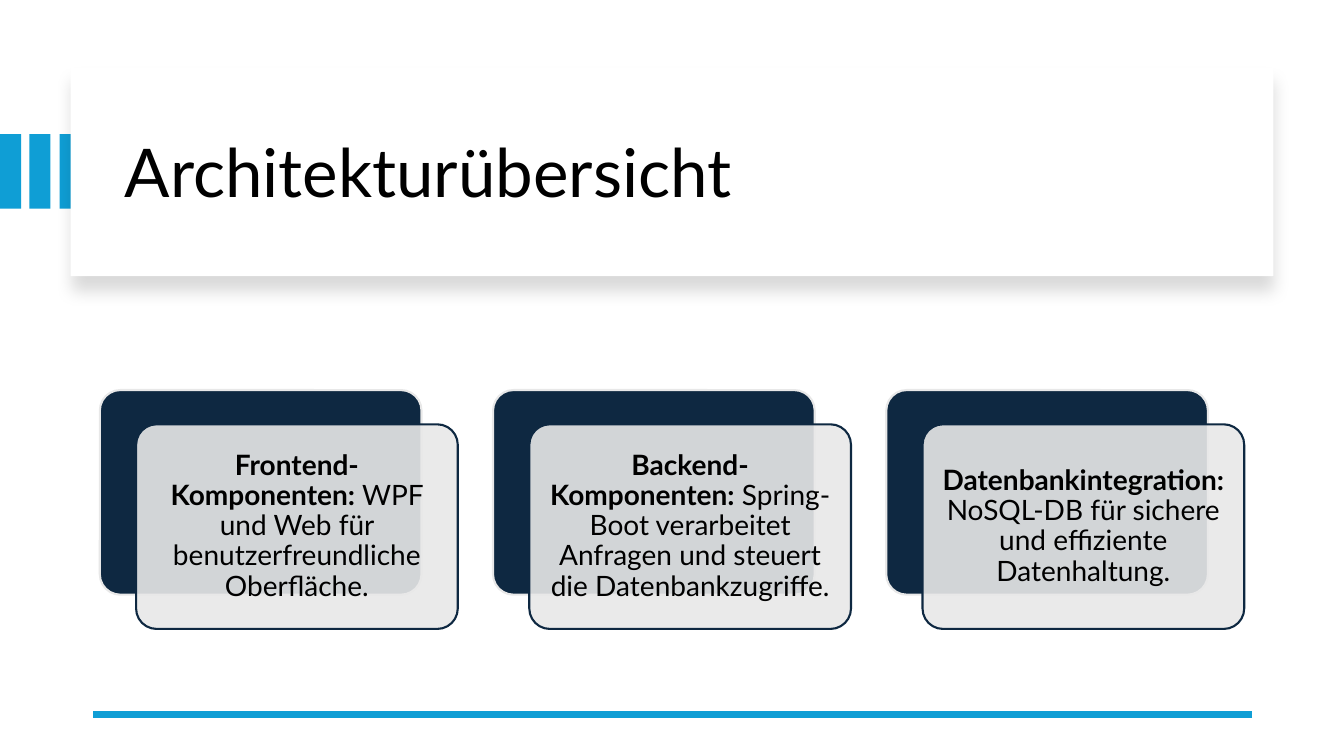
from lxml.etree import SubElement
from pptx import Presentation
from pptx.dml.color import RGBColor
from pptx.enum.shapes import MSO_CONNECTOR as Link, MSO_SHAPE as Form
from pptx.enum.text import MSO_ANCHOR as Anchor, PP_ALIGN as Align
from pptx.oxml.ns import qn
from pptx.util import Pt

PX = 9144  # 100 px to the inch
BLUE, NAVY, GREY, WHITE, BLACK = "0F9ED5", "0E2841", "E8E8E8", "FFFFFF", "000000"
CARDS = [
    ("Frontend-Komponenten:", " WPF und Web für benutzerfreundliche Oberfläche."),
    ("Backend-Komponenten:", " Spring-Boot verarbeitet Anfragen und steuert "
                             "die Datenbankzugriffe."),
    ("Datenbankintegration:", " NoSQL-DB für sichere und effiziente Datenhaltung."),
]


def paint(color, value):
    color.rgb = RGBColor.from_string(value)


def emu(*sizes):
    return [size * PX for size in sizes]


def add_box(slide, form, box, fill, edge=None):
    shape = slide.shapes.add_shape(form, *emu(*box))
    shape.shadow.inherit = False
    shape.fill.solid()
    paint(shape.fill.fore_color, fill)
    if edge:
        paint(shape.line.color, edge)
        shape.line.width = Pt(1.5)
    else:
        shape.line.fill.background()
    if form == Form.ROUNDED_RECTANGLE:
        shape.adjustments[0] = 0.1
    return shape


def add_alpha(parent, percent):
    color = next(parent.iter(qn("a:srgbClr")))
    SubElement(color, qn("a:alpha"), val=str(percent * 1000))


def drop_shadow(shape):
    effects = shape._element.spPr.find(qn("a:effectLst"))
    shade = SubElement(effects, qn("a:outerShdw"), blurRad=str(Pt(11)),
                       dist=str(Pt(10)), dir="5400000", rotWithShape="0")
    SubElement(shade, qn("a:srgbClr"), val=BLACK)
    add_alpha(shade, 15)


def write(frame, runs, size, align, inset):
    """Fill the frame with one paragraph of (text, bold) runs."""
    look = {"word_wrap": True, "vertical_anchor": Anchor.MIDDLE}
    for side, gap in zip(("left", "top", "right", "bottom"), inset):
        look[f"margin_{side}"] = gap * PX
    for name, value in look.items():
        setattr(frame, name, value)
    para = frame.paragraphs[0]
    para.alignment, para.line_spacing = align, 0.9
    for text, bold in runs:
        run = para.add_run()
        run.text = text
        for name, value in {"name": "Lato", "size": Pt(size), "bold": bold}.items():
            setattr(run.font, name, value)
        paint(run.font.color, BLACK)


def add_header(slide, left, top, width, height):
    for i in range(3):
        add_box(slide, Form.RECTANGLE, (i * 59 // 2, top + 66, 21, 74), BLUE)
    drop_shadow(add_box(slide, Form.RECTANGLE, (left, top, width, height), WHITE))
    title = slide.shapes.add_textbox(*emu(left + 44, top + 22, width - 80, height - 37))
    write(title.text_frame, [("Architekturübersicht", False)], 48,
          Align.LEFT, (10, 5, 10, 5))


def add_card(slide, left, top, width, height, head, body):
    form = Form.ROUNDED_RECTANGLE
    add_box(slide, form, (left, top, width, height), NAVY, GREY)
    front = add_box(slide, form, (left + 36, top + 34, width, height), GREY, NAVY)
    add_alpha(front._element.spPr.find(qn("a:solidFill")), 90)
    write(front.text_frame, [(head, True), (body, False)], 20, Align.CENTER, (8,) * 4)


def add_rule(slide, left, right, y):
    rule = slide.shapes.add_connector(Link.STRAIGHT, *emu(right, y, left, y))
    paint(rule.line.color, BLUE)
    rule.line.width = Pt(4.5)
    SubElement(rule._element.spPr, qn("a:effectLst"))


def main():
    deck = Presentation()
    deck.slide_width, deck.slide_height = emu(1333, 750)
    slide = deck.slides.add_slide(deck.slide_layouts[6])
    add_header(slide, 70, 67, 1193, 207)
    add_rule(slide, 92, 1242, 709)
    for i, (head, body) in enumerate(CARDS):
        add_card(slide, 99 + i * 390, 387, 319, 203, head, body)
    deck.save("out.pptx")


if __name__ == "__main__":
    main()
